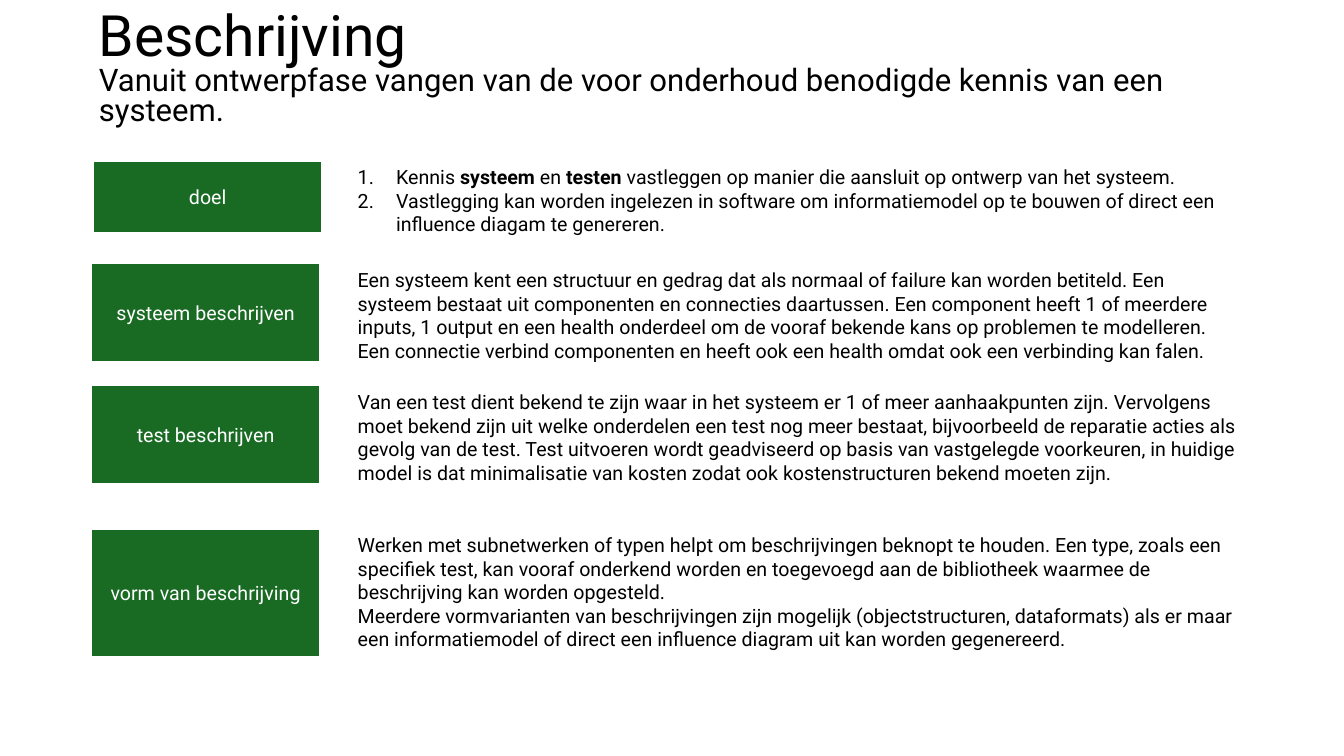
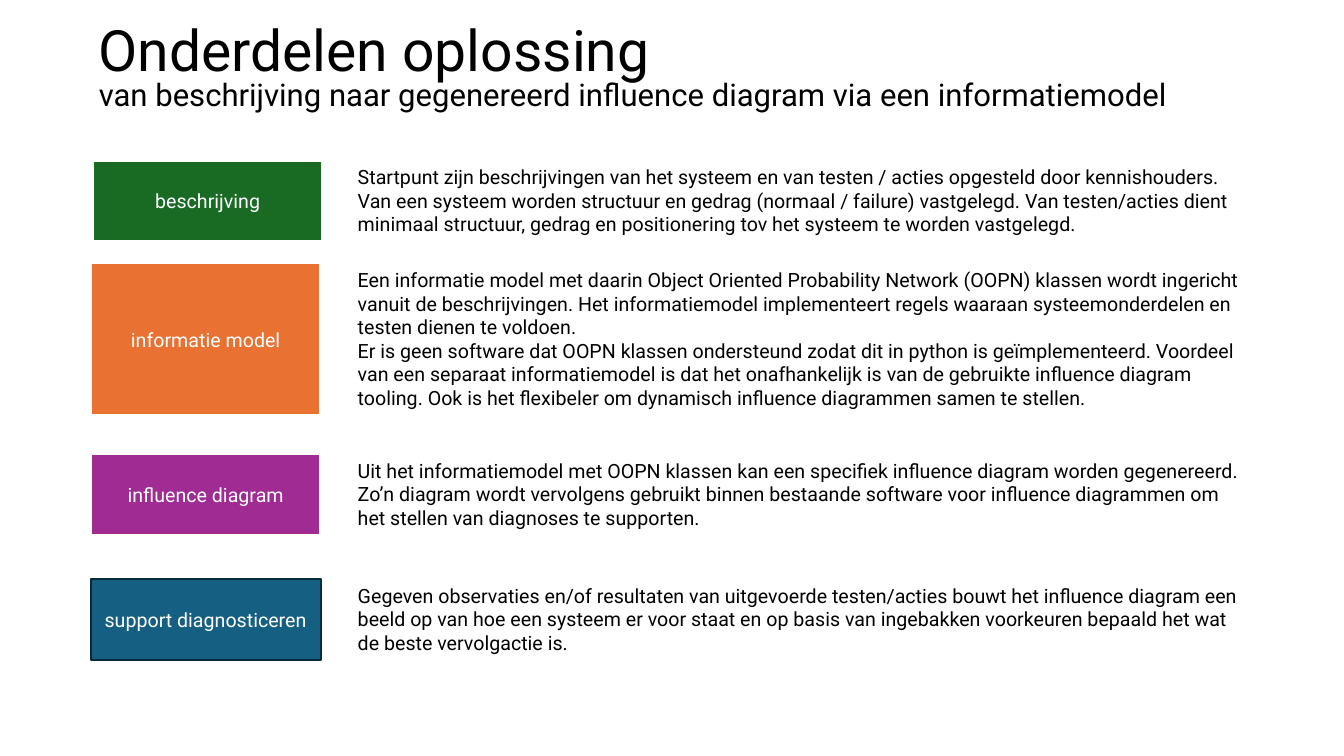
from dataclasses import dataclass

from lxml import etree
from pptx import Presentation
from pptx.dml import color
from pptx.enum import shapes, text
from pptx.oxml import ns
from pptx.util import Inches, Pt

BLACK, WHITE = "000000", "FFFFFF"
GREEN, ORANGE, PURPLE, BLUE, NAVY = "196B24", "E97132", "A02B93", "156082", "092A39"


def rgb(value):
    return color.RGBColor.from_string(value)


@dataclass
class Row:
    label: str
    top: float
    height: float
    paragraphs: list
    fill: str = GREEN
    border: str = WHITE
    border_width: float = 2
    left: float = 0.9
    text_height: float = 0
    numbered: bool = False


class Slides:
    font = "Roboto"
    body_size = 14
    title_sizes = (40.7, 22.2)
    label_width = 2.28
    text_left, text_width = 3.45, 8.94

    def __init__(self):
        self.deck = Presentation()
        self.deck.slide_width = Inches(13.33)
        self.deck.slide_height = Inches(7.5)
        self.page = None

    def style(self, para, size, ink):
        para.font.name = self.font
        para.font.size = Pt(size)
        para.font.color.rgb = rgb(ink)

    def add_page(self, title, subtitle):
        self.page = self.deck.slides.add_slide(self.deck.slide_layouts[5])
        box = self.page.shapes.title
        box.left, box.top = Inches(0.88), Inches(0.18)
        box.width, box.height = Inches(11.5), Inches(1.03)
        frame = box.text_frame
        frame.auto_size = text.MSO_AUTO_SIZE.NONE
        frame.vertical_anchor = text.MSO_ANCHOR.MIDDLE
        frame.text = f"{title}\n{subtitle}"
        for para, size in zip(frame.paragraphs, self.title_sizes):
            para.alignment = text.PP_ALIGN.LEFT
            para.line_spacing = 0.8
            self.style(para, size, BLACK)

    def add_label(self, row):
        box = self.page.shapes.add_shape(
            shapes.MSO_SHAPE.RECTANGLE, Inches(row.left), Inches(row.top),
            Inches(self.label_width), Inches(row.height))
        box.shadow.inherit = False
        box.fill.solid()
        box.fill.fore_color.rgb = rgb(row.fill)
        box.line.color.rgb = rgb(row.border)
        box.line.width = Pt(row.border_width)
        frame = box.text_frame
        frame.vertical_anchor = text.MSO_ANCHOR.MIDDLE
        frame.text = row.label
        para = frame.paragraphs[0]
        para.alignment = text.PP_ALIGN.CENTER
        self.style(para, self.body_size, WHITE)

    def number(self, para):
        props = para._p.get_or_add_pPr()
        props.set("marL", str(Inches(0.38)))
        props.set("indent", str(-Inches(0.38)))
        etree.SubElement(props, ns.qn("a:buFont"), typeface="+mj-lt")
        etree.SubElement(props, ns.qn("a:buAutoNum"), type="arabicPeriod")

    def add_text(self, row):
        box = self.page.shapes.add_textbox(
            Inches(self.text_left), Inches(row.top),
            Inches(self.text_width), Inches(row.text_height or row.height))
        frame = box.text_frame
        frame.word_wrap = True
        frame.auto_size = text.MSO_AUTO_SIZE.SHAPE_TO_FIT_TEXT
        for index, content in enumerate(row.paragraphs):
            para = frame.add_paragraph() if index else frame.paragraphs[0]
            if row.numbered:
                self.number(para)
            for part, words in enumerate(content.split("**")):
                span = para.add_run()
                span.text = words
                if part % 2:
                    span.font.bold = True
            self.style(para, self.body_size, BLACK)

    def add_rows(self, rows):
        for row in rows:
            self.add_text(row)
            self.add_label(row)


DESCRIPTION_ROWS = [
    Row("doel", 1.59, 0.73, [
        "Kennis **systeem** en **testen** vastleggen op manier die aansluit op ontwerp van het "
        "systeem.",
        "Vastlegging kan worden ingelezen in software om informatiemodel op te bouwen of direct "
        "een influence diagam te genereren.",
    ], left=0.92, text_height=0.81, numbered=True),
    Row("systeem beschrijven", 2.61, 0.99, [
        "Een systeem kent een structuur en gedrag dat als normaal of failure kan worden betiteld. "
        "Een systeem bestaat uit componenten en connecties daartussen. Een component heeft 1 of "
        "meerdere inputs, 1 output en een health onderdeel om de vooraf bekende kans op problemen "
        "te modelleren. Een connectie verbind componenten en heeft ook een health omdat ook een "
        "verbinding kan falen.",
    ], text_height=1.04),
    Row("test beschrijven", 3.82, 0.99, [
        "Van een test dient bekend te zijn waar in het systeem er 1 of meer aanhaakpunten zijn. "
        "Vervolgens moet bekend zijn uit welke onderdelen een test nog meer bestaat, bijvoorbeeld "
        "de reparatie acties als gevolg van de test. Test uitvoeren wordt geadviseerd op basis van "
        "vastgelegde voorkeuren, in huidige model is dat minimalisatie van kosten zodat ook "
        "kostenstructuren bekend moeten zijn.",
    ], text_height=1.28),
    Row("vorm van beschrijving", 5.24, 1.28, [
        "Werken met subnetwerken of typen helpt om beschrijvingen beknopt te houden. Een type, "
        "zoals een specifiek test, kan vooraf onderkend worden en toegevoegd aan de bibliotheek "
        "waarmee de beschrijving kan worden opgesteld.",
        "Meerdere vormvarianten van beschrijvingen zijn mogelijk (objectstructuren, dataformats) "
        "als er maar een informatiemodel of direct een influence diagram uit kan worden "
        "gegenereerd.",
    ]),
]

SOLUTION_ROWS = [
    Row("beschrijving", 1.59, 0.81, [
        "Startpunt zijn beschrijvingen van het systeem en van testen / acties opgesteld door "
        "kennishouders. Van een systeem worden structuur en gedrag (normaal / failure) "
        "vastgelegd. Van testen/acties dient minimaal structuur, gedrag en positionering tov het "
        "systeem te worden vastgelegd.",
    ], left=0.92),
    Row("informatie model", 2.61, 1.51, [
        "Een informatie model met daarin Object Oriented Probability Network (OOPN) klassen wordt "
        "ingericht vanuit de beschrijvingen. Het informatiemodel implementeert regels waaraan "
        "systeemonderdelen en testen dienen te voldoen.",
        "Er is geen software dat OOPN klassen ondersteund zodat dit in python is geïmplementeerd. "
        "Voordeel van een separaat informatiemodel is dat het onafhankelijk is van de gebruikte "
        "influence diagram tooling. Ook is het flexibeler om dynamisch influence diagrammen samen "
        "te stellen.",
    ], ORANGE),
    Row("influence diagram", 4.5, 0.81, [
        "Uit het informatiemodel met OOPN klassen kan een specifiek influence diagram worden "
        "gegenereerd. Zo’n diagram wordt vervolgens gebruikt binnen bestaande software voor "
        "influence diagrammen om het stellen van diagnoses te supporten.",
    ], PURPLE),
    Row("support diagnosticeren", 5.74, 0.81, [
        "Gegeven observaties en/of resultaten van uitgevoerde testen/acties bouwt het influence "
        "diagram een beeld op van hoe een systeem er voor staat en op basis van ingebakken "
        "voorkeuren bepaald het wat de beste vervolgactie is.",
    ], BLUE, NAVY, 1.5),
]


def main():
    slides = Slides()
    slides.add_page(
        "Beschrijving",
        "Vanuit ontwerpfase vangen van de voor onderhoud benodigde kennis van een systeem.")
    slides.add_rows(DESCRIPTION_ROWS)
    slides.add_page(
        "Onderdelen oplossing",
        "van beschrijving naar gegenereerd influence diagram via een informatiemodel")
    slides.add_rows(SOLUTION_ROWS)
    slides.deck.save("out.pptx")


if __name__ == "__main__":
    main()
